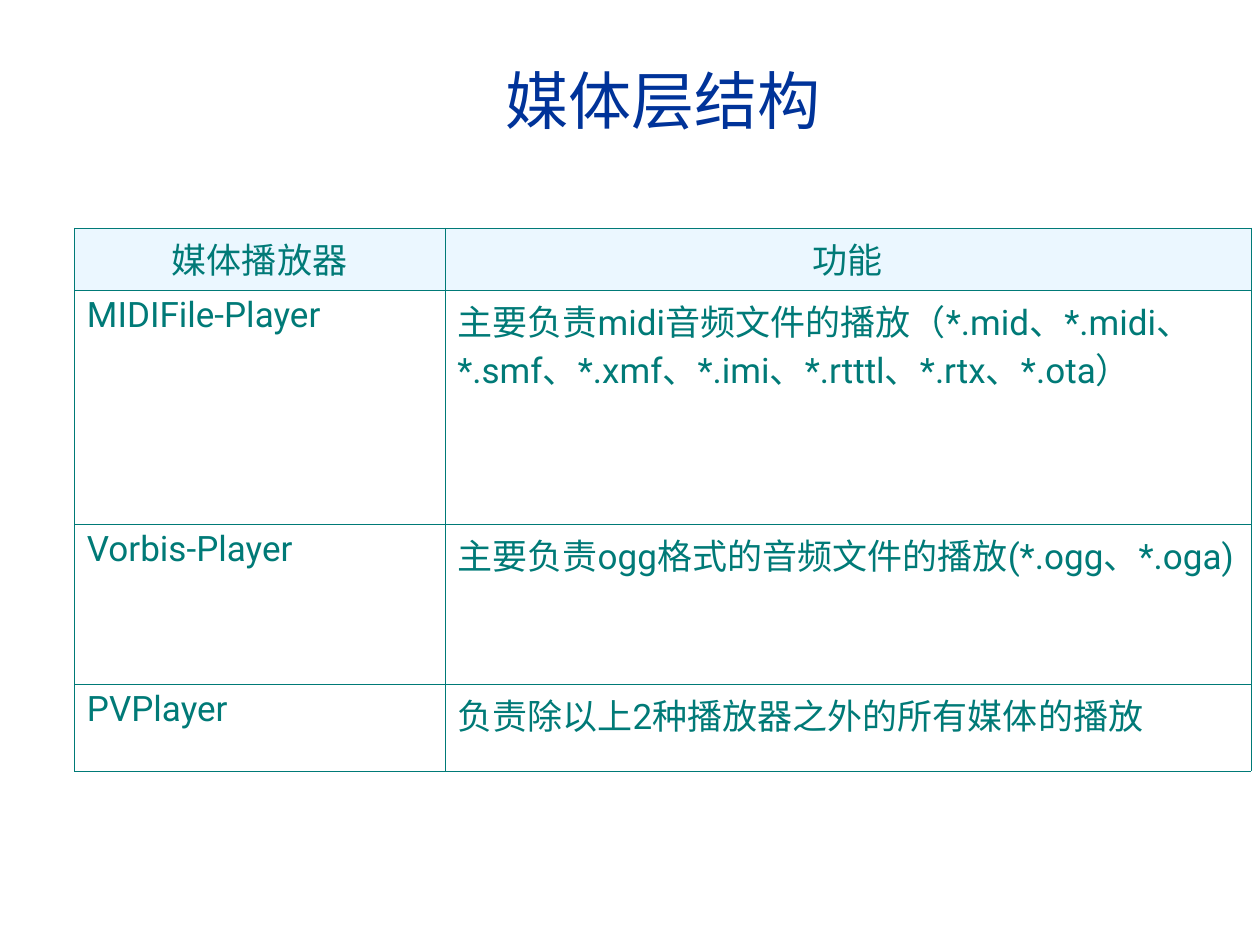
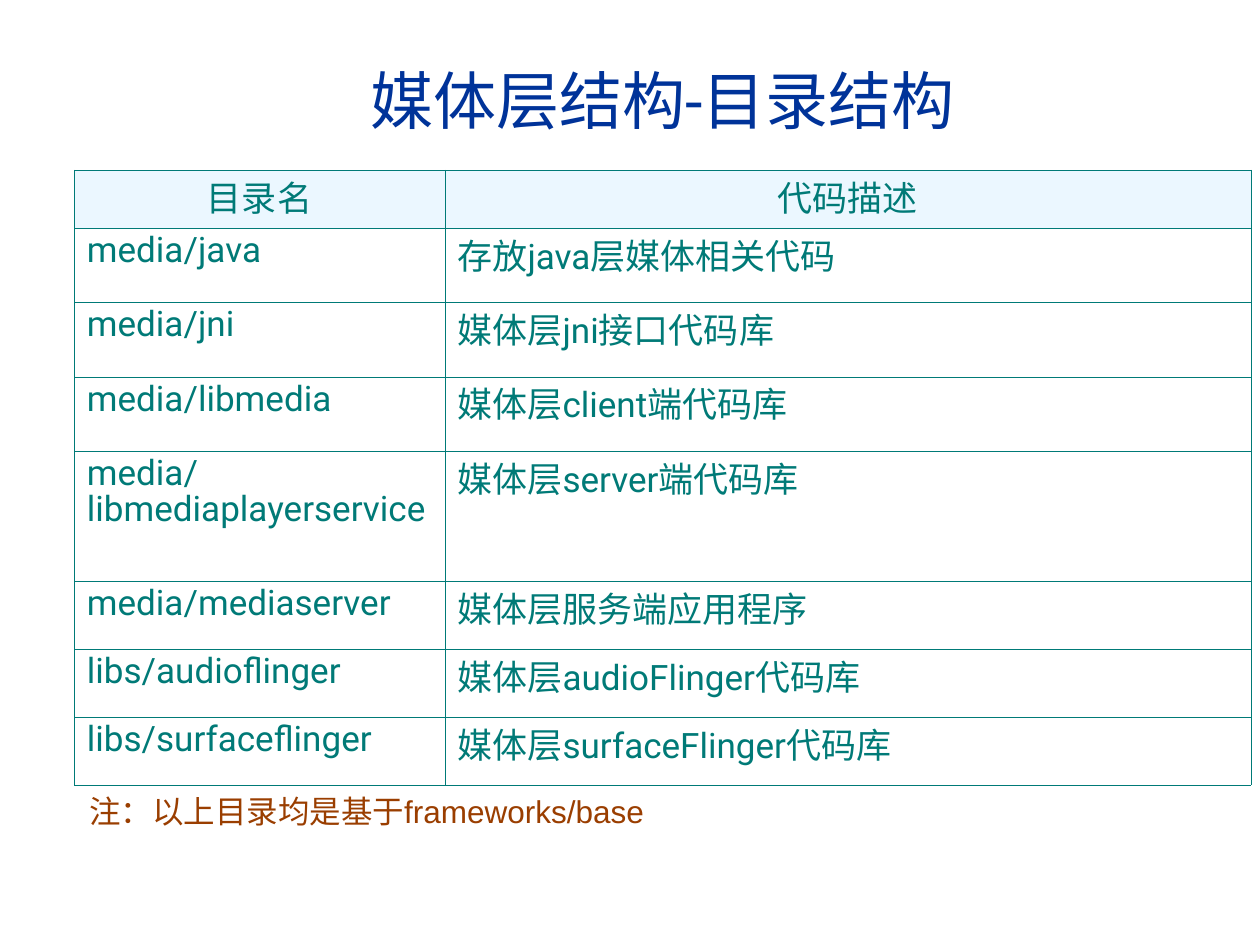
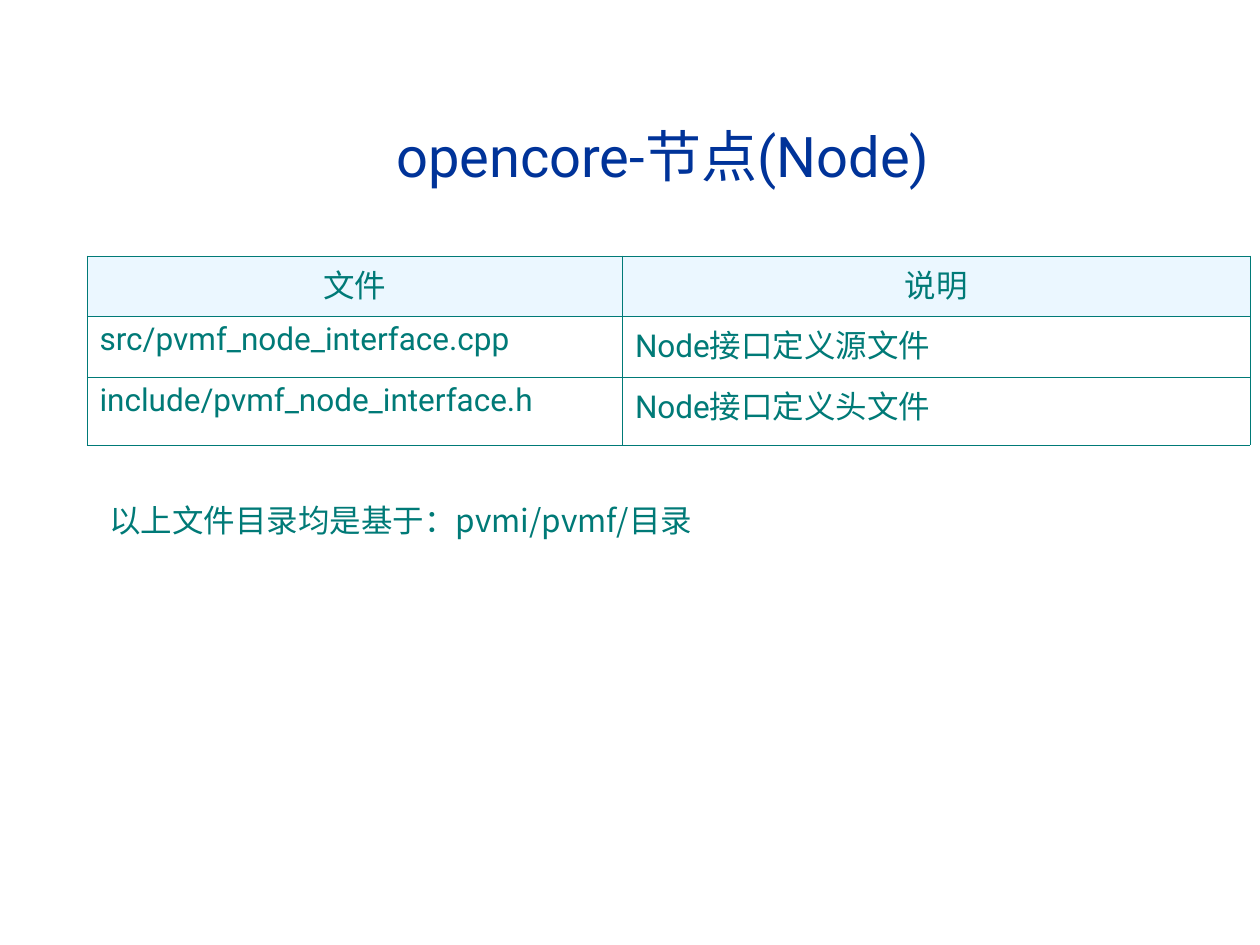
from lxml import etree
from pptx import Presentation
from pptx.dml.color import RGBColor
from pptx.enum.text import MSO_ANCHOR, MSO_AUTO_SIZE, PP_ALIGN
from pptx.oxml.ns import qn
from pptx.util import Inches, Pt

CENTER, LEFT = PP_ALIGN.CENTER, PP_ALIGN.LEFT
MIDDLE, TOP = MSO_ANCHOR.MIDDLE, MSO_ANCHOR.TOP
NO_FIT = MSO_AUTO_SIZE.NONE

NAVY, TEAL, PALE, BROWN = "003399", "007A77", "EBF7FF", "9A3E00"
LATIN, CJK = "Roboto", "Noto Sans CJK SC"
COLS, ROWS = 100, 75
OUTER, INNER = 0.23, 0.11  # table line widths in points


def rgb(value):
    return RGBColor.from_string(value)


class Deck:
    """Holds the presentation, its style and the current slide."""

    def __init__(self):
        self.prs = Presentation()
        self.prs.slide_width, self.prs.slide_height = Inches(10), Inches(7.5)

    def x(self, cols):
        return round(self.prs.slide_width * cols / COLS)

    def y(self, rows):
        return round(self.prs.slide_height * rows / ROWS)

    def box(self, left, top, width, height):
        return self.x(left), self.y(top), self.x(width), self.y(height)

    def text(self, tf, words, size, color, font=LATIN, anchor=TOP, **fmt):
        """Put one formatted paragraph into a text frame."""
        tf.word_wrap = True
        tf.vertical_anchor = anchor
        p = tf.paragraphs[0]
        for name, value in fmt.items():
            setattr(p, name, value)
        r = p.add_run()
        r.text = words
        for name, value in {"name": font, "size": Pt(size)}.items():
            setattr(r.font, name, value)
        r.font.color.rgb = rgb(color)
        etree.SubElement(r._r.get_or_add_rPr(), qn("a:ea"), typeface=CJK)

    def slide(self, title, top=3.9, height=8, size=36):
        """Start a title-only slide."""
        self.s = self.prs.slides.add_slide(self.prs.slide_layouts[5])
        sp = self.s.shapes.title
        sp.left, sp.top, sp.width, sp.height = self.box(5.9, top, 93.4, height)
        sp.text_frame.auto_size = NO_FIT
        self.text(sp.text_frame, title, size, NAVY, anchor=MIDDLE,
                  alignment=CENTER)

    def note(self, words, left, top, width, color, font, before=0):
        sp = self.s.shapes.add_textbox(*self.box(left, top, width, 4))
        self.text(sp.text_frame, words, 18, color, font,
                  space_before=Pt(before))

    def borders(self, cell, widths):
        tcPr = cell._tc.get_or_add_tcPr()
        for side, width in zip("LRTB", widths):
            ln = etree.SubElement(tcPr, qn(f"a:ln{side}"), w=str(int(Pt(width))))
            fill = etree.SubElement(ln, qn("a:solidFill"))
            etree.SubElement(fill, qn("a:srgbClr"), val=TEAL)

    def table(self, rows, left, top, widths, heights, size=20, spacing=0.96):
        """Add a table whose first row is a shaded, centred header."""
        box = self.box(left, top, sum(widths), sum(heights))
        table = self.s.shapes.add_table(len(rows), len(widths), *box).table
        table.first_row = table.horz_banding = False
        for col, width in zip(table.columns, widths):
            col.width = self.x(width)
        last_row, last_col = len(rows) - 1, len(widths) - 1
        for i, (values, height) in enumerate(zip(rows, heights)):
            table.rows[i].height = self.y(height)
            for j, words in enumerate(values):
                cell = table.cell(i, j)
                edges = (j == 0, j == last_col, i == 0, i == last_row)
                self.borders(cell, [OUTER if e else INNER for e in edges])
                if i == 0:
                    cell.fill.solid()
                    cell.fill.fore_color.rgb = rgb(PALE)
                else:
                    cell.fill.background()
                self.text(cell.text_frame, words, size, TEAL,
                          alignment=LEFT if i else CENTER,
                          line_spacing=spacing, space_before=Pt(size / 4))


def main():
    deck = Deck()
    wide = (29.4, 64)

    # Media players
    deck.slide("媒体层结构")
    deck.table([
        ("媒体播放器", "功能"),
        ("MIDIFile-Player", "主要负责midi音频文件的播放（*.mid、*.midi、*.smf、"
         "*.xmf、*.imi、*.rtttl、*.rtx、*.ota）"),
        ("Vorbis-Player", "主要负责ogg格式的音频文件的播放(*.ogg、*.oga)"),
        ("PVPlayer", "负责除以上2种播放器之外的所有媒体的播放"),
    ], 5.9, 18.1, wide, (4.9, 18.6, 12.7, 6.9))

    # Directory structure
    deck.slide("媒体层结构-目录结构")
    deck.table([
        ("目录名", "代码描述"),
        ("media/java", "存放java层媒体相关代码"),
        ("media/jni", "媒体层jni接口代码库"),
        ("media/libmedia", "媒体层client端代码库"),
        ("media/libmediaplayerservice", "媒体层server端代码库"),
        ("media/mediaserver", "媒体层服务端应用程序"),
        ("libs/audioflinger", "媒体层audioFlinger代码库"),
        ("libs/surfaceflinger", "媒体层surfaceFlinger代码库"),
    ], 5.9, 13.5, wide, (4.6, *[5.9] * 3, 10.3, *[5.4] * 3), spacing=0.86)
    deck.note("注：以上目录均是基于frameworks/base", 6.1, 62.4, 87.4,
              BROWN, "Arial")

    # Node files
    deck.slide("opencore-节点(Node)", 6.1, 12.5, 32)
    deck.table([
        ("文件", "说明"),
        ("src/pvmf_node_interface.cpp", "Node接口定义源文件"),
        ("include/pvmf_node_interface.h", "Node接口定义头文件"),
    ], 6.9, 20.3, (42.5, 49.8), (4.8, 4.8, 5.4), size=18)
    deck.note("以上文件目录均是基于：pvmi/pvmf/目录", 7.7, 39.3, 89.8,
              TEAL, CJK, before=11.2)

    deck.prs.save("out.pptx")


if __name__ == "__main__":
    main()
